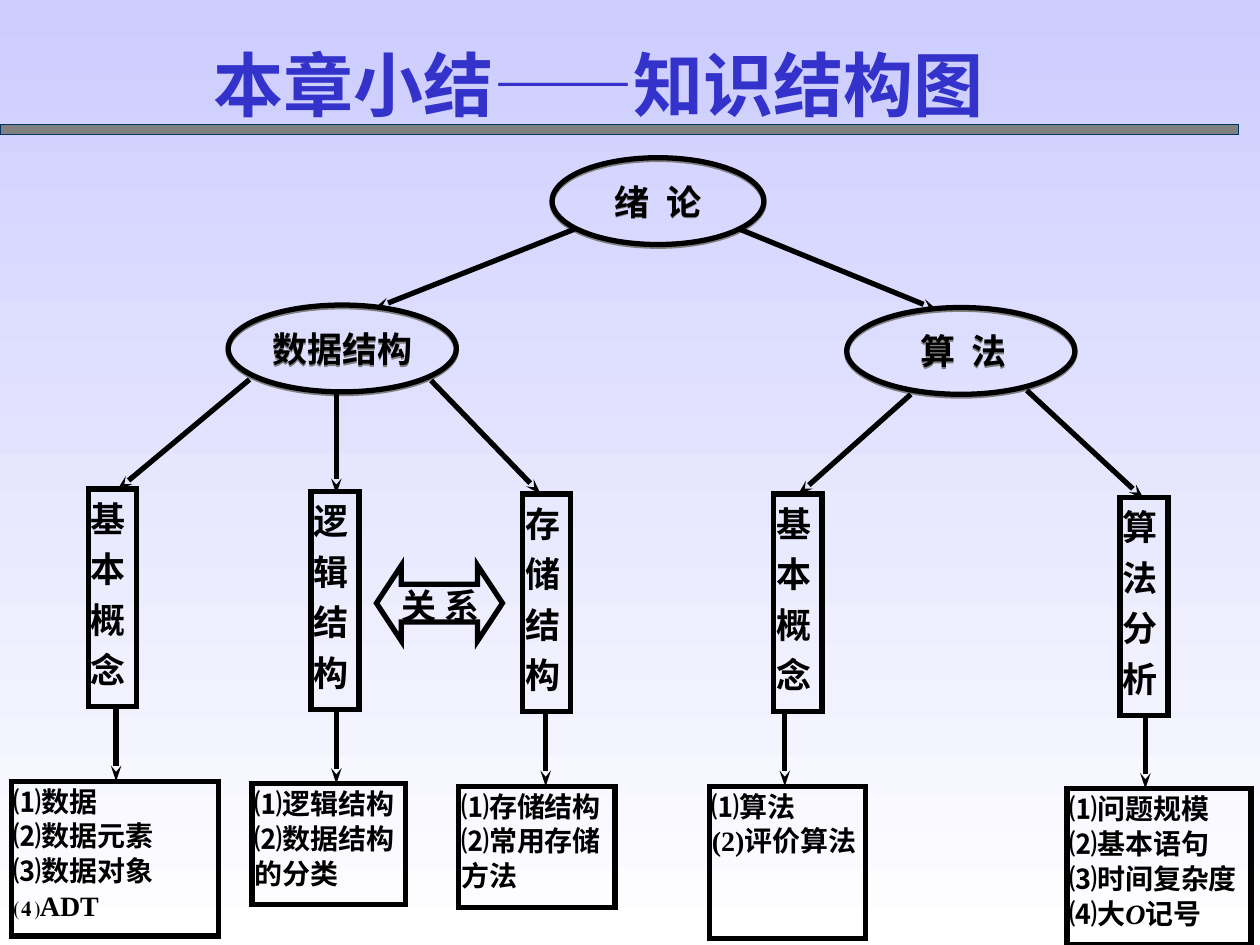
from dataclasses import dataclass
from typing import NamedTuple

from lxml.etree import SubElement
from pptx import Presentation
from pptx.dml.color import RGBColor
from pptx.enum.shapes import MSO_CONNECTOR, MSO_SHAPE
from pptx.enum.text import MSO_ANCHOR, PP_ALIGN
from pptx.oxml.ns import qn
from pptx.util import Cm, Pt


@dataclass(frozen=True)
class Theme:
    sky: RGBColor = RGBColor(0xCC, 0xCC, 0xFF)
    white: RGBColor = RGBColor(0xFF, 0xFF, 0xFF)
    ink: RGBColor = RGBColor(0, 0, 0)
    title: RGBColor = RGBColor(0x33, 0x33, 0xCC)
    bar: RGBColor = RGBColor(0x80, 0x80, 0x80)
    bar_line: RGBColor = RGBColor(0, 0x33, 0x66)
    latin: str = "Times New Roman"
    cjk: str = "Noto Sans CJK SC"
    title_size: int = 40
    node_size: int = 20
    detail_size: int = 16
    stroke: float = 3


class Box(NamedTuple):
    x: float
    y: float
    w: float
    h: float


class Run(NamedTuple):
    text: str
    italic: bool = False
    font: str = ""


class Node(NamedTuple):
    box: Box
    text: str
    tracking: int = 0
    insets: tuple = (0.25, 0.13, 0.25, 0.13)


class Edge(NamedTuple):
    x1: float
    y1: float
    x2: float
    y2: float


class Column(NamedTuple):
    topic: str
    box: Box
    arrow_x: float
    detail: Box
    lines: list


T = Theme()

# Knowledge tree, lengths in centimetres
NODES = [
    Node(Box(11.13, 3.18, 4.27, 1.75), "绪 论", 250),
    Node(Box(4.6, 6.15, 4.6, 1.75), "数据结构", 0, (0.15, 0.13, 0.15, 0.13)),
    Node(Box(17.07, 6.2, 4.6, 1.75), "算 法", 250, (0.36, 0.13, 0.25, 0.13)),
]
EDGES = [
    Edge(11.58, 4.62, 7.54, 6.22),
    Edge(14.91, 4.62, 18.9, 6.25),
    Edge(5.03, 7.65, 2.36, 9.88),
    Edge(6.78, 7.92, 6.78, 9.96),
    Edge(8.69, 7.67, 10.9, 9.96),
    Edge(18.36, 7.95, 16.08, 9.98),
    Edge(20.7, 7.87, 23.06, 10.06),
]
COLUMNS = [
    Column("基本概念", Box(1.78, 9.86, 0.97, 4.39), 2.34, Box(0.23, 15.75, 4.17, 3.12),
           ["⑴数据", "⑵数据元素", "⑶数据对象", "⑷ADT"]),
    Column("逻辑结构", Box(6.27, 9.91, 0.97, 4.39), 6.78, Box(5.08, 15.8, 3.1, 2.44),
           ["⑴逻辑结构", "⑵数据结构", "的分类"]),
    Column("存储结构", Box(10.54, 9.96, 0.97, 4.39), 11, Box(9.25, 15.85, 3.15, 2.44),
           ["⑴存储结构", "⑵常用存储", "方法"]),
    Column("基本概念", Box(15.6, 9.96, 0.97, 4.39), 15.82, Box(14.3, 15.85, 3.15, 3.07),
           ["⑴算法", "(2)评价算法"]),
    Column("算法分析", Box(22.58, 10.03, 0.97, 4.39), 23.09, Box(21.51, 15.9, 3.71, 3.15),
           ["⑴问题规模", "⑵基本语句", "⑶时间复杂度",
            [Run("⑷大"), Run("O", True), Run("记号")]]),
]


def set_all(obj, values: dict) -> None:
    for name, value in values.items():
        setattr(obj, name, value)


def write(sp, lines: list, size: int, color: RGBColor = T.ink, insets: tuple = (0.05, 0, 0.05, 0),
          align=PP_ALIGN.JUSTIFY, spacing: float = 1.0, anchor=MSO_ANCHOR.TOP, tracking: int = 0) -> None:
    tf = sp.text_frame
    left, top, right, bottom = map(Cm, insets)
    set_all(tf, dict(word_wrap=True, vertical_anchor=anchor, margin_left=left,
                     margin_top=top, margin_right=right, margin_bottom=bottom))
    for i, line in enumerate(lines):
        p = tf.paragraphs[0] if i == 0 else tf.add_paragraph()
        set_all(p, dict(alignment=align, line_spacing=spacing))
        for part in [Run(line)] if isinstance(line, str) else line:
            r = p.add_run()
            r.text = part.text
            set_all(r.font, dict(name=part.font or T.latin, size=Pt(size), bold=True,
                                 italic=part.italic))
            r.font.color.rgb = color
            if part.font:
                SubElement(r.font._element, qn("a:ea"), typeface=part.font)
            if tracking:
                r.font._element.set("spc", str(tracking))


def outline(s, preset, box: Box):
    sp = s.shapes.add_shape(preset, *map(Cm, box))
    sp.shadow.inherit = False
    sp.fill.background()
    sp.line.color.rgb = T.ink
    sp.line.width = Pt(T.stroke)
    SubElement(sp.line._get_or_add_ln(), qn("a:miter"), lim="800000")
    return sp


def ellipse(s, node: Node) -> None:
    sp = outline(s, MSO_SHAPE.OVAL, node.box)
    effects = sp._element.spPr.find(qn("a:effectLst"))
    shadow = SubElement(effects, qn("a:outerShdw"), dist="12700", dir="5400000")
    SubElement(shadow, qn("a:srgbClr"), val=str(T.bar))
    write(sp, [node.text], T.node_size, insets=node.insets, align=PP_ALIGN.CENTER,
          anchor=MSO_ANCHOR.MIDDLE, tracking=node.tracking)


def arrow(s, edge: Edge) -> None:
    c = s.shapes.add_connector(MSO_CONNECTOR.STRAIGHT, *map(Cm, edge))
    c.line.color.rgb = T.ink
    c.line.width = Pt(T.stroke)
    SubElement(c.line._get_or_add_ln(), qn("a:tailEnd"), type="stealth", w="sm", len="med")
    SubElement(c._element.spPr, qn("a:effectLst"))


def column(s, col: Column) -> None:
    write(outline(s, MSO_SHAPE.RECTANGLE, col.box), [col.topic], T.node_size, spacing=1.2)
    write(outline(s, MSO_SHAPE.RECTANGLE, col.detail), col.lines, T.detail_size,
          insets=(0.05, 0.03, 0.05, 0.03), spacing=1.04)
    arrow(s, Edge(col.arrow_x, col.box.y + col.box.h, col.arrow_x, col.detail.y))


def main() -> None:
    prs = Presentation()
    set_all(prs, dict(slide_width=Cm(25.4), slide_height=Cm(19.05)))
    s = prs.slides.add_slide(prs.slide_layouts[6])

    # Background
    fill = s.background.fill
    fill.gradient()
    fill.gradient_angle = 270
    for stop, color, position in zip(fill.gradient_stops, (T.sky, T.white), (0, 1)):
        stop.color.rgb = color
        stop.position = position

    # Title and rule
    bar = outline(s, MSO_SHAPE.RECTANGLE, Box(0, 2.51, 24.97, 0.2))
    bar.fill.solid()
    bar.fill.fore_color.rgb = T.bar
    bar.line.color.rgb = T.bar_line
    bar.line.width = Pt(0.75)
    title = s.shapes.add_textbox(*map(Cm, Box(4.06, 0.71, 18.82, 1.96)))
    write(title, [[Run("本章小结", font=T.cjk), Run("——"), Run("知识结构图", font=T.cjk)]],
          T.title_size, T.title, (0.25, 0.13, 0.25, 0.13), PP_ALIGN.LEFT)

    # Tree
    for node in NODES:
        ellipse(s, node)
    for edge in EDGES:
        arrow(s, edge)
    for col in COLUMNS:
        column(s, col)

    # Relation between logical and storage structure
    relation = outline(s, MSO_SHAPE.LEFT_RIGHT_ARROW, Box(7.59, 11.4, 2.54, 1.52))
    relation.adjustments[0] = 0.5
    relation.adjustments[1] = 0.33
    write(relation, ["关 系"], T.node_size, insets=(0.25, 0, 0, 0))

    prs.save("out.pptx")


if __name__ == "__main__":
    main()
